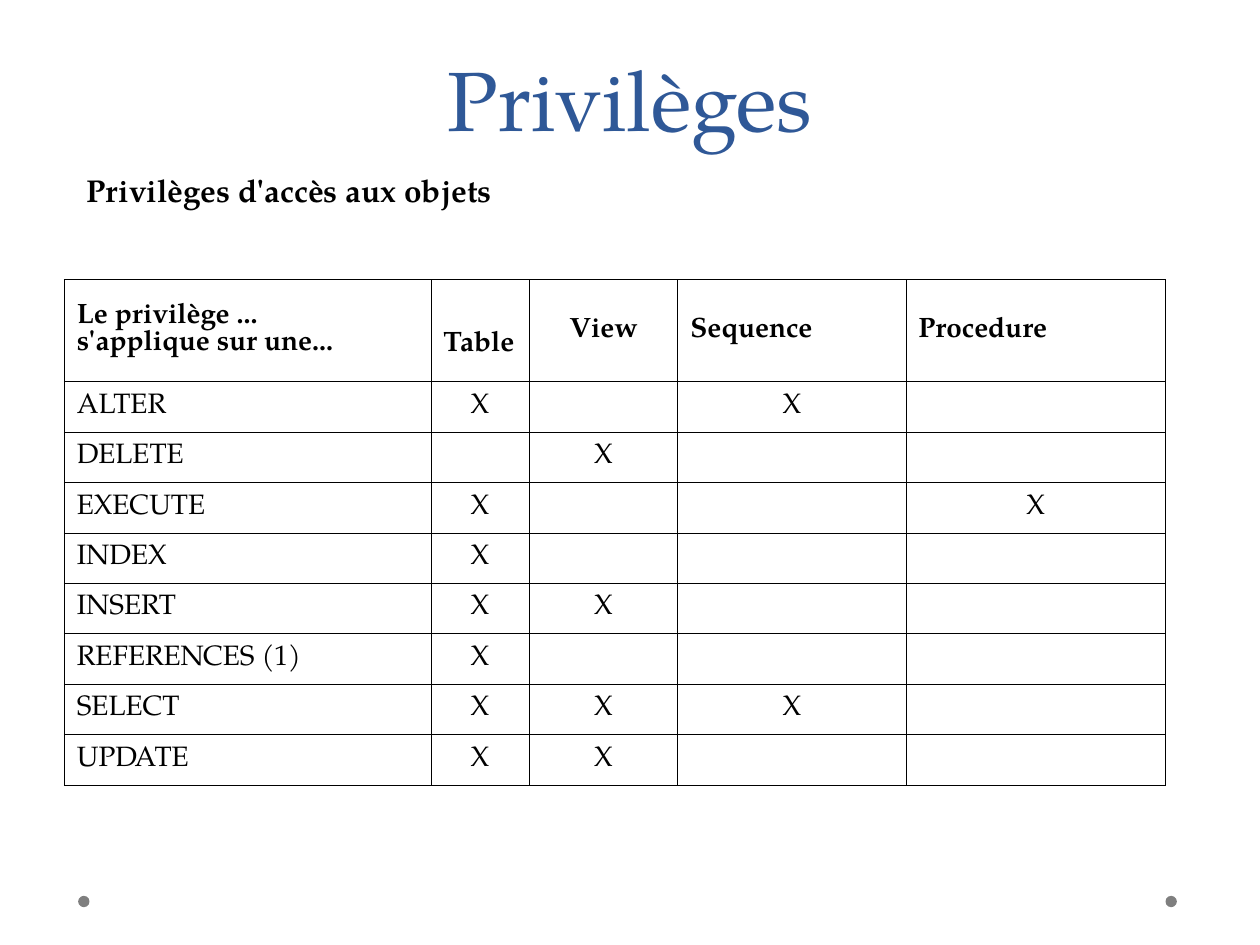
from lxml.etree import SubElement
from pptx import Presentation
from pptx.dml.color import RGBColor
from pptx.enum.shapes import MSO_SHAPE
from pptx.enum.text import MSO_ANCHOR, PP_ALIGN
from pptx.oxml.ns import qn
from pptx.util import Inches, Pt

COLORS = {"title": "2F5897", "text": "000000", "dot": "7F7F7F"}

# Privileges, each with the kinds of object it applies to
KINDS = ["Table", "View", "Sequence", "Procedure"]
PRIVILEGES = {
    "ALTER": ["Table", "Sequence"],
    "DELETE": ["View"],
    "EXECUTE": ["Table", "Procedure"],
    "INDEX": ["Table"],
    "INSERT": ["Table", "View"],
    "REFERENCES (1)": ["Table"],
    "SELECT": ["Table", "View", "Sequence"],
    "UPDATE": ["Table", "View"],
}


class Slide:
    """Style and current page; lengths are units of a 100 by 75 grid."""

    font = "TeX Gyre Pagella"
    unit = Inches(0.1)
    border = Pt(0.45)

    def __init__(self, deck):
        deck.slide_width, deck.slide_height = self.grid(100, 75)
        self.page = deck.slides.add_slide(deck.slide_layouts[6])

    def grid(self, *lengths):
        return [round(length * self.unit) for length in lengths]

    def style(self, para, size, color="text", bold=False, align=PP_ALIGN.LEFT):
        para.alignment = align
        font = para.font
        font.name, font.size, font.bold = self.font, Pt(size), bold
        font.color.rgb = RGBColor.from_string(COLORS[color])

    def dot(self, left, top, size):
        dot = self.page.shapes.add_shape(
            MSO_SHAPE.OVAL, *self.grid(left, top, size, size))
        dot.shadow.inherit = False
        dot.fill.solid()
        dot.fill.fore_color.rgb = RGBColor.from_string(COLORS["dot"])
        dot.line.fill.background()

    def text(self, words, place, size, anchor=MSO_ANCHOR.TOP, spacing=None, **style):
        frame = self.page.shapes.add_textbox(*self.grid(*place)).text_frame
        frame.word_wrap = True
        frame.vertical_anchor = anchor
        frame.text = words
        para = frame.paragraphs[0]
        para.line_spacing = spacing
        self.style(para, size, **style)

    def cell(self, cell, words, **style):
        cell.text = words
        cell.vertical_anchor = MSO_ANCHOR.MIDDLE
        self.style(cell.text_frame.paragraphs[0], 16, **style)
        properties = cell._tc.get_or_add_tcPr()
        for side in ("a:lnL", "a:lnR", "a:lnT", "a:lnB"):
            line = SubElement(properties, qn(side), w=str(self.border))
            fill = SubElement(line, qn("a:solidFill"))
            SubElement(fill, qn("a:srgbClr"), val=COLORS["text"])
        cell.fill.background()

    def table(self, left, top, widths, heights):
        place = self.grid(left, top, sum(widths), sum(heights))
        table = self.page.shapes.add_table(len(heights), len(widths), *place).table
        table.first_row = table.horz_banding = False
        for column, width in zip(table.columns, self.grid(*widths)):
            column.width = width
        for row, height in zip(table.rows, self.grid(*heights)):
            row.height = height
        return table


def main():
    deck = Presentation()
    slide = Slide(deck)

    # Footer dots
    for left in (6.2, 92.5):
        slide.dot(left, 71.1, 0.9)

    # Title and subtitle
    slide.text("Privilèges", (5, 0, 90, 12.3), 48, MSO_ANCHOR.BOTTOM, Pt(58),
               color="title", align=PP_ALIGN.CENTER)
    slide.text("Privilèges d'accès aux objets", (5.9, 13.1, 87.4, 7), 18, bold=True)

    # Table header
    table = slide.table(5.1, 22.2, [29.1, 7.8, 11.8, 18.1, 20.6],
                        [8.1] + [4] * len(PRIVILEGES))
    header = ["Le privilège ...\vs'applique sur une..."] + KINDS
    for column, words in enumerate(header):
        align = PP_ALIGN.CENTER if words == "View" else PP_ALIGN.LEFT
        slide.cell(table.cell(0, column), words, bold=True, align=align)
    table.cell(0, 1).margin_top = Inches(0.27)

    # One row per privilege
    for row, (privilege, allowed) in enumerate(PRIVILEGES.items(), 1):
        slide.cell(table.cell(row, 0), privilege)
        for column, kind in enumerate(KINDS, 1):
            mark = "X" if kind in allowed else ""
            slide.cell(table.cell(row, column), mark, align=PP_ALIGN.CENTER)

    deck.save("out.pptx")


if __name__ == "__main__":
    main()
